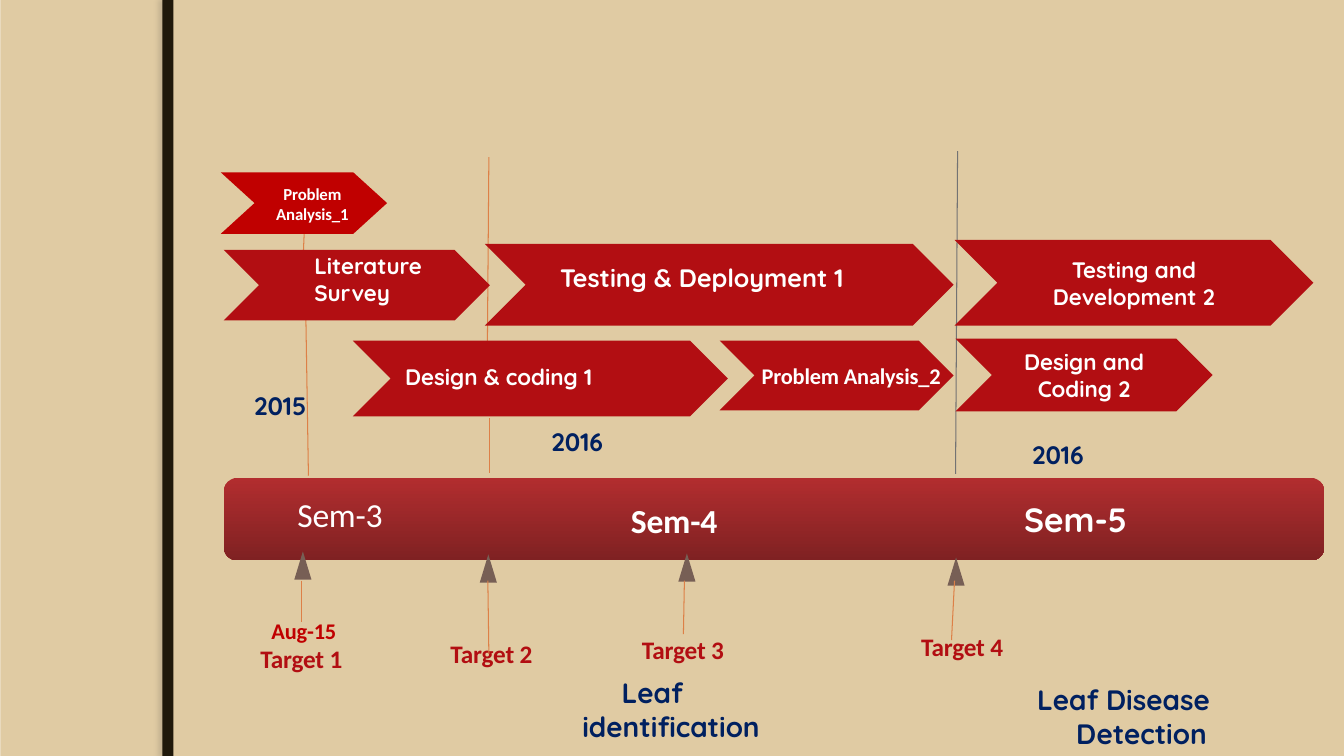
from dataclasses import dataclass

from lxml import etree
from pptx import Presentation
from pptx.dml.color import RGBColor
from pptx.enum.shapes import MSO_CONNECTOR, MSO_SHAPE
from pptx.enum.text import MSO_ANCHOR, MSO_AUTO_SIZE, PP_ALIGN
from pptx.oxml.ns import qn
from pptx.util import Pt

LEFT, CENTER = PP_ALIGN.LEFT, PP_ALIGN.CENTER
TOP, MIDDLE = MSO_ANCHOR.TOP, MSO_ANCHOR.MIDDLE
GROW = MSO_AUTO_SIZE.SHAPE_TO_FIT_TEXT
RECT, ROUNDED = MSO_SHAPE.RECTANGLE, MSO_SHAPE.ROUNDED_RECTANGLE
CHEVRON, TRIANGLE = MSO_SHAPE.CHEVRON, MSO_SHAPE.ISOSCELES_TRIANGLE
STRAIGHT = MSO_CONNECTOR.STRAIGHT


@dataclass(frozen=True)
class Theme:
    background: str = "EBDDC3"
    panel: str = "E0CBA3"
    band: str = "20190B"
    band_shadow: str = "766E60"
    red: str = "B20E12"
    bright_red: str = "C00000"
    bar_top: str = "B22D2F"
    bar_bottom: str = "7F2122"
    navy: str = "002060"
    white: str = "FFFFFF"
    orange: str = "DD8047"
    grey: str = "737373"
    brown: str = "775F55"
    heading_font: str = "Quicksand"
    body_font: str = "Calibri"
    tiny: int = 12
    small: int = 16
    medium: int = 18
    large: int = 20
    huge: int = 24


class Timeline:
    def __init__(self, slide, theme):
        self.s = slide
        self.t = theme

    def shape(self, kind, box, color):
        sp = self.s.shapes.add_shape(kind, *map(Pt, box))
        sp.shadow.inherit = False
        sp.line.fill.background()
        sp.fill.solid()
        sp.fill.fore_color.rgb = RGBColor.from_string(color)
        return sp

    def line(self, start, end, color):
        c = self.s.shapes.add_connector(STRAIGHT, *map(Pt, start + end))
        c.line.color.rgb = RGBColor.from_string(color)
        c.line.width = Pt(0.75)
        etree.SubElement(c._element.spPr, qn("a:effectLst"))

    def add_lines(self, tf, lines, size, color, font=None, bold=True, align=LEFT, spacing=0):
        """Fill a text frame, one paragraph for each line; spacing is in points."""
        tf.word_wrap = True
        for i, line in enumerate(lines):
            p = tf.add_paragraph() if i else tf.paragraphs[0]
            p.alignment = align
            r = p.add_run()
            r.text = line
            r.font.name = font or self.t.heading_font
            r.font.size = Pt(size)
            r.font.bold = bold
            r.font.color.rgb = RGBColor.from_string(color)
            if spacing:
                r._r.get_or_add_rPr().set("spc", str(round(spacing * 100)))

    def text(self, box, lines, size, color, tight=False, grow=True, **style):
        """Add a text box; a tight one has no insets and is centred vertically."""
        tf = self.s.shapes.add_textbox(*map(Pt, box)).text_frame
        tf.vertical_anchor = MIDDLE if tight else TOP
        if tight:
            tf.margin_left = tf.margin_right = tf.margin_top = tf.margin_bottom = 0
        self.add_lines(tf, lines, size, color, **style)
        if grow:
            tf.auto_size = GROW
        return tf

    def indent(self, tf, left, first):
        """Set the left margin and the first-line indent of the first paragraph."""
        pPr = tf.paragraphs[0]._p.get_or_add_pPr()
        pPr.set("marL", str(Pt(left)))
        pPr.set("indent", str(Pt(first)))

    def phase(self, box, label=None, color=None, point=0.5):
        sp = self.shape(CHEVRON, box, color or self.t.red)
        sp.adjustments[0] = point
        if label:
            sp.text_frame.vertical_anchor = MIDDLE
            self.add_lines(sp.text_frame, [label], self.t.small, self.t.white, align=CENTER)

    def target(self, label, label_box, tip, stem_start, stem_end):
        self.text(label_box, [label], self.t.medium, self.t.red, tight=True,
                  font=self.t.body_font, align=CENTER, spacing=-0.1)
        self.shape(TRIANGLE, tip + (12.24, 20.16), self.t.brown)
        self.line(stem_start, stem_end, self.t.orange)

    def backdrop(self):
        fill = self.s.background.fill
        fill.solid()
        fill.fore_color.rgb = RGBColor.from_string(self.t.background)
        self.shape(RECT, (0.72, 0, 959.28, 540), self.t.panel)
        band = self.shape(RECT, (115.92, 0, 7.92, 540), self.t.band)
        effects = band._element.spPr.find(qn("a:effectLst"))
        shadow = etree.SubElement(effects, qn("a:outerShdw"), blurRad=str(Pt(3)),
                                  dist=str(Pt(3)), dir="10800000", rotWithShape="0")
        color = etree.SubElement(shadow, qn("a:srgbClr"), val=self.t.band_shadow)
        etree.SubElement(color, qn("a:alpha"), val="25000")

    def semester_bar(self):
        bar = self.shape(ROUNDED, (159.84, 341.28, 786.24, 59.04), self.t.bar_top)
        bar.fill.gradient()
        bar.fill.gradient_angle = 270
        for stop, color in zip(bar.fill.gradient_stops, (self.t.bar_top, self.t.bar_bottom)):
            stop.color.rgb = RGBColor.from_string(color)
        tf = bar.text_frame
        tf.vertical_anchor = MIDDLE
        tf.margin_left = Pt(438)
        self.add_lines(tf, ["Sem-5"], self.t.huge, self.t.white, align=CENTER)
        for label, box, bold in (("Sem-3", (212.4, 358.56, 79.92, 17.28), False),
                                 ("Sem-4", (450.72, 359.28, 90, 24.48), True)):
            self.text(box, [label], self.t.huge, self.t.white, tight=True, grow=False,
                      font=self.t.body_font, bold=bold, spacing=-0.2)


def main():
    prs = Presentation()
    prs.slide_width, prs.slide_height = Pt(960), Pt(540)
    t = Theme()
    tl = Timeline(prs.slides.add_slide(prs.slide_layouts[6]), t)

    tl.backdrop()
    for start, end, color in (
        ((684, 108), (682.56, 338.4), t.grey),
        ((349.2, 112.32), (347.76, 294.48), t.orange),
        ((217.44, 163.44), (216.72, 180), t.orange),
        ((218.16, 206.64), (220.32, 339.84), t.orange),
        ((349.92, 298.8), (349.92, 337.68), t.orange),
    ):
        tl.line(start, end, color)

    tl.semester_bar()

    tl.phase((157.68, 123.12, 118.8, 43.92), color=t.bright_red, point=0.55)
    for box, label in (
        ((159.84, 178.56, 190.08, 50.4), None),
        ((252, 243.36, 267.84, 54), None),
        ((346.32, 174.24, 334.8, 58.32), None),
        ((514.08, 243.36, 167.04, 49.68), None),
        ((681.84, 171.36, 256.32, 61.2), "Testing and Development 2"),
        ((682.56, 241.92, 183.6, 51.84), "Design and Coding 2"),
    ):
        tl.phase(box, label)

    tl.text((192.24, 131.04, 61.92, 28.8), ["Problem", "Analysis_1"], t.tiny, t.white,
            tight=True, font=t.body_font, align=CENTER, spacing=-0.1)
    tl.text((527.76, 254.88, 160.56, 48.24), ["Problem Analysis_2"], t.small, t.white,
            font=t.body_font, align=CENTER, spacing=-0.1)
    for box, label, size in (
        ((217.44, 176.4, 105.84, 46.08), "Literature Survey", t.small),
        ((282.24, 255.6, 164.16, 26.64), "Design & coding 1", t.small),
        ((393.12, 183.6, 228.24, 28.8), "Testing & Deployment 1", t.medium),
    ):
        tl.text(box, [label], size, t.white)

    for year, box, tight in (("2015", (181.44, 278.64, 43.92, 21.6), True),
                             ("2016", (393.84, 304.56, 61.92, 21.6), True),
                             ("2016", (730.08, 310.32, 68.4, 28.8), False)):
        tl.text(box, [year], t.medium, t.navy, tight=tight)

    tl.text((190.8, 440.64, 52.56, 19.44), ["Aug-15"], t.small, t.bright_red, tight=True,
            font=t.body_font, align=CENTER, spacing=-0.1)
    for target in (
        ("Target 1", (184.32, 459.36, 61.92, 21.6), (210.24, 393.84),
         (215.28, 414.72), (215.28, 444.24)),
        ("Target 2", (318.24, 455.76, 65.52, 21.6), (342.72, 396),
         (348.48, 414.72), (349.2, 467.28)),
        ("Target 3", (447.84, 452.88, 79.92, 21.6), (484.56, 395.28),
         (488.88, 414.72), (488.16, 452.88)),
        ("Target 4", (645.12, 450.72, 84.24, 21.6), (676.8, 398.16),
         (681.84, 414.72), (679.68, 457.2)),
    ):
        tl.target(*target)

    for label, box, left, first in (
        ("Leaf identification", (408.96, 479, 163.44, 56), 0, 28),
        ("Leaf Disease Detection", (733.68, 484, 148.32, 56), 28, -28),
    ):
        tl.indent(tl.text(box, [label], t.large, t.navy), left, first)

    prs.save("out.pptx")


if __name__ == "__main__":
    main()
